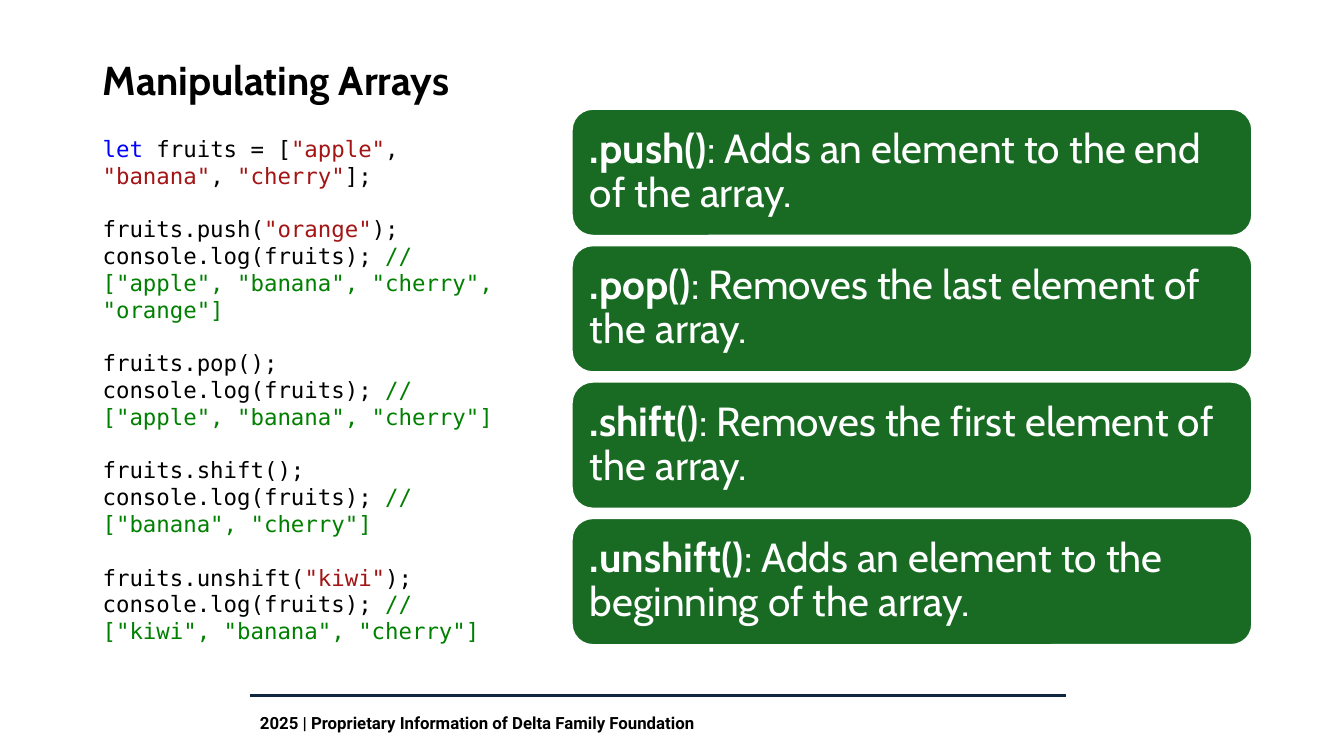
import pptx
import pptx.dml.color
import pptx.enum.shapes
import pptx.enum.text
import pptx.oxml
import pptx.util

RGBColor = pptx.dml.color.RGBColor
BLACK = RGBColor(0x00, 0x00, 0x00)
WHITE = RGBColor(0xFF, 0xFF, 0xFF)
NAVY = RGBColor(0x0E, 0x28, 0x41)
GREEN = RGBColor(0x19, 0x6B, 0x24)
KEYWORD = RGBColor(0x00, 0x00, 0xFF)
STRING = RGBColor(0xA3, 0x15, 0x15)
COMMENT = RGBColor(0x00, 0x80, 0x00)

TITLE = "Manipulating Arrays"
FOOTER = "2025 | Proprietary Information of Delta Family Foundation"
LOG = ("console.log(fruits); ", BLACK)

# Blocks of code lines; each line is a list of (text, colour)
CODE = [
    [[("let", KEYWORD), (" fruits = [", BLACK), ('"apple"', STRING), (", ", BLACK),
      ('"banana"', STRING), (", ", BLACK), ('"cherry"', STRING), ("];", BLACK)]],
    [[("fruits.push(", BLACK), ('"orange"', STRING), (");", BLACK)],
     [LOG, ('// ["apple", "banana", "cherry", "orange"]', COMMENT)]],
    [[("fruits.pop();", BLACK)],
     [LOG, ('// ["apple", "banana", "cherry"]', COMMENT)]],
    [[("fruits.shift();", BLACK)],
     [LOG, ('// ["banana", "cherry"]', COMMENT)]],
    [[("fruits.unshift(", BLACK), ('"kiwi"', STRING), (");", BLACK)],
     [LOG, ('// ["kiwi", "banana", "cherry"]', COMMENT)]],
]

METHODS = [
    (".push()", ": Adds an element to the end of the array."),
    (".pop()", ": Removes the last element of the array."),
    (".shift()", ": Removes the first element of the array."),
    (".unshift()", ": Adds an element to the beginning of the array."),
]

# Lengths in px, 100 to the inch
PX = 9144
SLIDE_WIDTH, SLIDE_HEIGHT = 1333, 750
COLUMN_LEFT, COLUMN_WIDTH = 92, 430
CARD_LEFT, CARD_WIDTH, CARD_HEIGHT = 567, 675, 126
CARDS_TOP, CARDS_BOTTOM = 108, 640
CARD_INSET = 12
FOOTER_LEFT, FOOTER_WIDTH, RULE_TOP = 248, 809, 690


def box(*lengths):
    return [round(length * PX) for length in lengths]


def add_run(paragraph, text, font, size, color, bold=False):
    run = paragraph.add_run()
    run.text = text
    run.font.name = font
    run.font.size = pptx.util.Pt(size)
    run.font.color.rgb = color
    run.font.bold = bold


def add_text_box(slide, left, top, width, height):
    frame = slide.shapes.add_textbox(*box(left, top, width, height)).text_frame
    frame.word_wrap = True
    return frame


def add_title(slide):
    title = slide.shapes.title
    title.left, title.top, title.width, title.height = box(COLUMN_LEFT, 50, COLUMN_WIDTH, 58)
    frame = title.text_frame
    frame.auto_size = pptx.enum.text.MSO_AUTO_SIZE.NONE
    frame.vertical_anchor = pptx.enum.text.MSO_ANCHOR.BOTTOM
    paragraph = frame.paragraphs[0]
    paragraph.alignment = pptx.enum.text.PP_ALIGN.LEFT
    paragraph.line_spacing = 0.9
    add_run(paragraph, TITLE, "Cabin", 28.8, BLACK, True)


def add_code(slide):
    frame = add_text_box(slide, COLUMN_LEFT, 129, COLUMN_WIDTH, 513)
    paragraph = frame.paragraphs[0]
    for block_number, block in enumerate(CODE):
        for line_number, line in enumerate(block):
            if block_number:
                paragraph = frame.add_paragraph()
                if line_number == 0:
                    paragraph.space_before = pptx.util.Pt(19)
            for text, color in line:
                add_run(paragraph, text, "DejaVu Sans Mono", 16, color)


def add_cards(slide):
    pitch = (CARDS_BOTTOM - CARDS_TOP - CARD_HEIGHT) / (len(METHODS) - 1)
    for number, (method, meaning) in enumerate(METHODS):
        card = slide.shapes.add_shape(
            pptx.enum.shapes.MSO_SHAPE.ROUNDED_RECTANGLE,
            *box(CARD_LEFT, CARDS_TOP + number * pitch, CARD_WIDTH, CARD_HEIGHT))
        card.shadow.inherit = False
        card.fill.solid()
        card.fill.fore_color.rgb = GREEN
        card.line.color.rgb = WHITE
        card.line.width = pptx.util.Pt(1.5)
        frame = card.text_frame
        frame.word_wrap = True
        frame.vertical_anchor = pptx.enum.text.MSO_ANCHOR.MIDDLE
        frame.margin_left = frame.margin_right = CARD_INSET * PX
        frame.margin_top = frame.margin_bottom = CARD_INSET * PX
        paragraph = frame.paragraphs[0]
        paragraph.alignment = pptx.enum.text.PP_ALIGN.LEFT
        paragraph.line_spacing = 0.9
        add_run(paragraph, method, "Cabin", 29, WHITE, True)
        add_run(paragraph, meaning, "Cabin", 29, WHITE)


def add_footer(slide):
    rule = slide.shapes.add_connector(
        pptx.enum.shapes.MSO_CONNECTOR.STRAIGHT,
        *box(FOOTER_LEFT, RULE_TOP, FOOTER_LEFT + FOOTER_WIDTH, RULE_TOP))
    rule.line.color.rgb = NAVY
    rule.line.width = pptx.util.Pt(1.5)
    rule.element.spPr.append(pptx.oxml.parse_xml(
        '<a:effectLst xmlns:a="http://schemas.openxmlformats.org/drawingml/2006/main"/>'))
    frame = add_text_box(slide, FOOTER_LEFT, 697, FOOTER_WIDTH, 43)
    frame.margin_top = frame.margin_bottom = 10 * PX
    add_run(frame.paragraphs[0], FOOTER, "Roboto", 12, BLACK, True)


def main():
    deck = pptx.Presentation()
    deck.slide_width, deck.slide_height = box(SLIDE_WIDTH, SLIDE_HEIGHT)
    slide = deck.slides.add_slide(deck.slide_layouts.get_by_name("Title Only"))
    add_footer(slide)
    add_title(slide)
    add_code(slide)
    add_cards(slide)
    deck.save("out.pptx")


if __name__ == "__main__":
    main()
